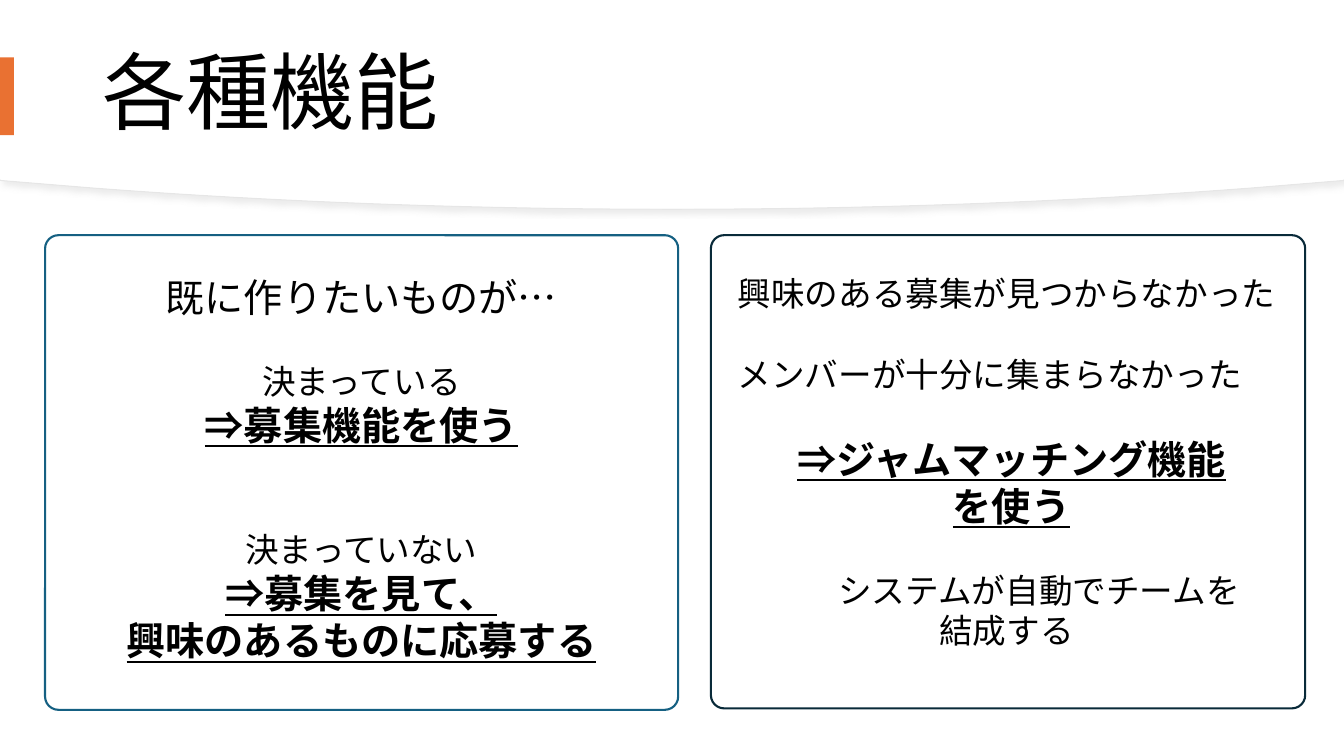
import pptx
import pptx.util
import pptx.dml.color
import pptx.enum.shapes
import pptx.enum.text
import pptx.oxml
import lxml.etree

Pt = pptx.util.Pt
FONT = "Noto Sans CJK JP"
INK = {"text": "000000", "paper": "FFFFFF", "edge": "E6E6E6", "shade": "D9D9D9",
       "mark": "E97132", "left": "156082", "right": "092A39"}
NS = "http://schemas.openxmlformats.org/drawingml/2006/main"


def paint(shape, fill=None, line=None, width=1):
    shape.shadow.inherit = False
    for part, name in ((shape.fill, fill), (shape.line.fill, line)):
        if name:
            part.solid()
            part.fore_color.rgb = pptx.dml.color.RGBColor.from_string(INK[name])
        else:
            part.background()
    if line:
        shape.line.width = Pt(width)


def style(para, text, size, strong=False):
    para.text = text
    font = para.font
    font.name, font.size = FONT, Pt(size)
    font.bold = font.underline = strong
    font.color.rgb = pptx.dml.color.RGBColor.from_string(INK["text"])
    # East Asian typeface for the Japanese text
    for run in para.runs:
        props = run.font
        props.name = FONT
        east = lxml.etree.SubElement(run._r.get_or_add_rPr(), f"{{{NS}}}ea")
        east.set("typeface", FONT)


deck = pptx.Presentation()
deck.slide_width, deck.slide_height = Pt(960), Pt(540)
slide = deck.slides.add_slide(deck.slide_layouts[6])
kinds = pptx.enum.shapes.MSO_SHAPE
center = pptx.enum.text.PP_ALIGN.CENTER

# Curved header: an edge with a soft shadow, then a plain sheet on top
half = [(894.2, 134.3), (766.8, 144), (627.1, 149.5), (480, 149.5)]
steps = 20
curve = []
for i in range(steps + 1):
    t = i / steps
    blend = ((1 - t) ** 3, 3 * t * (1 - t) ** 2, 3 * t * t * (1 - t), t ** 3)
    curve.append(tuple(sum(b * p[axis] for b, p in zip(blend, half)) for axis in (0, 1)))
curve += [(960 - x, y) for x, y in curve[-2::-1]]
for drop, line in ((0, "edge"), (-0.7, None)):
    rim = [(960, 128.9), *curve, (0, 128.9)]
    points = [(960, 0)] + [(x, y + drop) for x, y in rim]
    path = slide.shapes.build_freeform(0, 0)
    path.add_line_segments([(Pt(x), Pt(y)) for x, y in points], close=True)
    sheet = path.convert_to_shape()
    paint(sheet, "paper", line, 0.75)
    if line:
        glow = pptx.oxml.parse_xml(
            f'<a:outerShdw xmlns:a="{NS}" blurRad="{Pt(4)}" dist="{Pt(3)}" dir="2700000">'
            f'<a:srgbClr val="{INK["shade"]}"><a:alpha val="50000"/></a:srgbClr></a:outerShdw>')
        sheet._element.spPr.find(f"{{{NS}}}effectLst").append(glow)

# Title and accent mark
title = slide.shapes.add_textbox(Pt(66), Pt(19), Pt(828), Pt(100)).text_frame
title.word_wrap = True
title.vertical_anchor = pptx.enum.text.MSO_ANCHOR.MIDDLE
style(title.paragraphs[0], "各種機能", 60)
title.paragraphs[0].line_spacing = 0.9
mark = slide.shapes.add_shape(kinds.RECTANGLE, 0, Pt(41), Pt(10), Pt(55.5))
paint(mark, "mark")

# Panels: frame, text box, then (text, size, strong, space before, indent);
# an indent of None centres the line
panels = [
    ("left", (32.2, 168, 452.2, 339), (47.5, 191.5, 421.2, 310), [
        ("既に作りたいものが…", 28, False, 0, None),
        ("決まっている", 24, False, 29, None),
        ("⇒募集機能を使う", 28, True, 0, None),
        ("決まっていない", 24, False, 58, None),
        ("⇒募集を見て、", 28, True, 0, None),
        ("興味のあるものに応募する", 28, True, 0, None)]),
    ("right", (507.8, 168, 424.5, 338), (519.8, 191.5, 405.5, 300), [
        ("興味のある募集が見つからなかった", 24, False, 0, 0),
        ("メンバーが十分に集まらなかった", 24, False, 29, 0),
        ("⇒ジャムマッチング機能", 28, True, 29, None),
        ("を使う", 28, True, 0, None),
        ("システムが自動でチームを", 24, False, 29, 72),
        ("結成する", 24, False, 0, 144)]),
]
for tone, frame, area, lines in panels:
    group = slide.shapes.add_group_shape()
    card = group.shapes.add_shape(kinds.ROUNDED_RECTANGLE, *map(Pt, frame))
    card.adjustments[0] = 0.028
    paint(card, None, tone, 1.5)
    body = group.shapes.add_textbox(*map(Pt, area)).text_frame
    body.word_wrap = True
    for i, (text, size, strong, gap, indent) in enumerate(lines):
        para = body.add_paragraph() if i else body.paragraphs[0]
        style(para, text, size, strong)
        para.space_before = Pt(gap)
        if indent is None:
            para.alignment = center
        else:
            para._p.get_or_add_pPr().set("marL", str(Pt(indent)))

deck.save("out.pptx")
